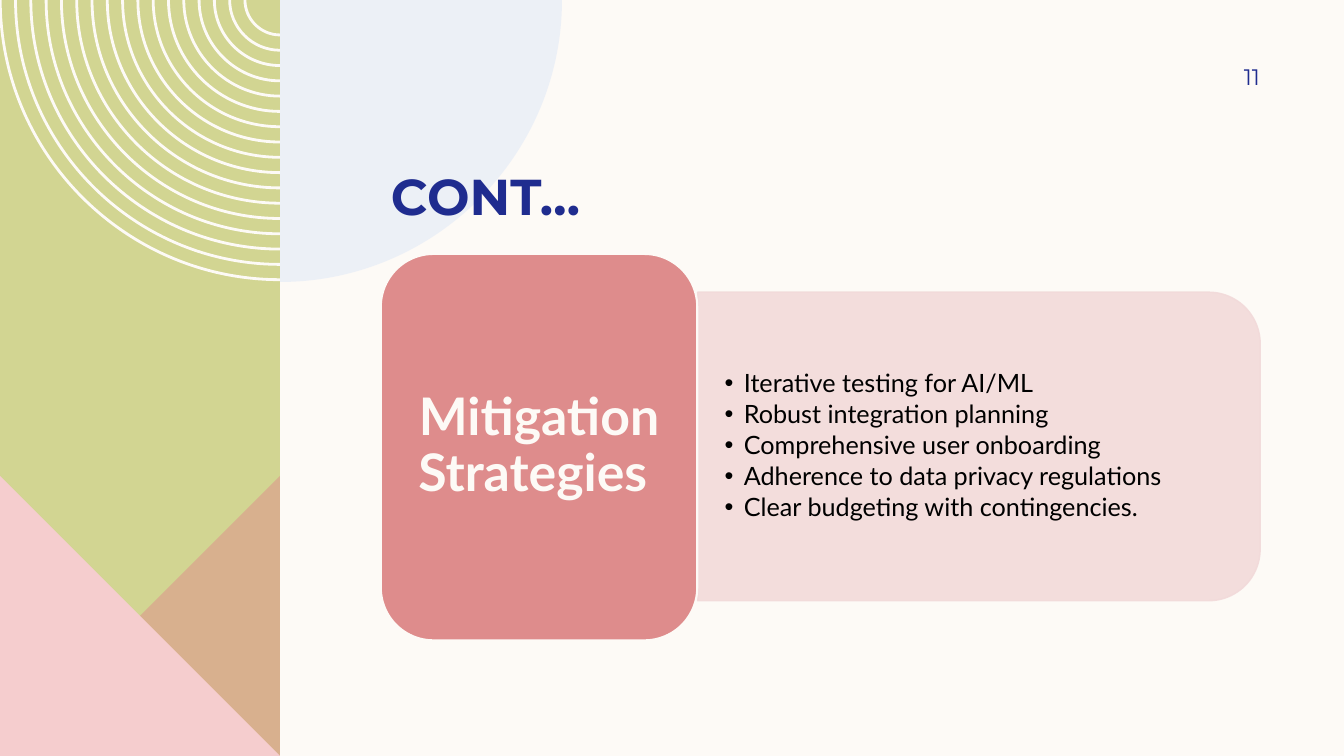
"""Builds the mitigation strategies slide."""
from lxml.etree import SubElement
from pptx import Presentation
from pptx.dml.color import RGBColor
from pptx.enum.shapes import MSO_SHAPE as Preset
from pptx.enum.text import MSO_ANCHOR as Anchor, MSO_AUTO_SIZE as AutoSize, PP_ALIGN as Align
from pptx.oxml.ns import qn
from pptx.util import Inches, Pt

COLORS = {
    "cream": "FDFAF6", "olive": "D2D592", "rose": "DE8C8C", "pink": "F5CDCE",
    "sky": "DDE7F6", "navy": "1F2C8F", "blush": "F2DADA", "black": "000000",
}
COLUMNS, ROWS = 48, 27
UNIT = Inches(7.5) / ROWS
BAND = 10
CORNER = (BAND, 0)
CURVE = 0.55
HEADING_FONT, BODY_FONT = "Montserrat", "Lato"
STRATEGIES = [
    "Iterative testing for AI/ML",
    "Robust integration planning",
    "Comprehensive user onboarding",
    "Adherence to data privacy regulations",
    "Clear budgeting with contingencies.",
]


def grid(*cells):
    """Turns grid cells into slide lengths."""
    return [round(cell * UNIT) for cell in cells]


def color(name):
    """Looks up a palette colour."""
    return RGBColor.from_string(COLORS[name])


def paint(shape, fill, opacity=100, line=None, width=1):
    """Sets fill, outline and opacity."""
    shape.shadow.inherit = False
    shape.fill.solid()
    shape.fill.fore_color.rgb = color(fill)
    if line:
        shape.line.color.rgb = color(line)
        shape.line.width = Pt(width)
    else:
        shape.line.fill.background()
    if opacity < 100:
        for shade in shape._element.spPr.iter(qn("a:srgbClr")):
            SubElement(shade, qn("a:alpha"), val=str(opacity * 1000))
    return shape


def add_outline(slide, contours, fill, opacity=100):
    """Draws closed contours given in grid cells as one shape."""
    builder = None
    for contour in contours:
        start, *rest = [grid(*point) for point in contour]
        if builder is None:
            builder = slide.shapes.build_freeform(*start)
        else:
            builder.move_to(*start)
        builder.add_line_segments(rest, close=True)
    return paint(builder.convert_to_shape(), fill, opacity)


def quarter(radius, side):
    """Lists the Bezier points of a quarter circle, from the top edge down."""
    x, y = CORNER
    pull = radius * CURVE
    return [(x + side * radius, y), (x + side * radius, y + pull),
            (x + side * pull, y + radius), (x, y + radius)]


def bend(shape):
    """Turns each three lines of a contour into a curve, keeping every fourth straight."""
    outline = next(shape._element.iter(qn("a:path")))
    position = 0
    for command in list(outline):
        if command.tag == qn("a:moveTo"):
            position = 0
        elif command.tag == qn("a:lnTo"):
            if position % 4 == 0:
                curve = SubElement(outline, qn("a:cubicBezTo"))
                command.addprevious(curve)
            if position % 4 < 3:
                curve.append(command[0])
                outline.remove(command)
            position += 1


def add_rings(slide, count=17, largest=10.04, smallest=1.3, thickness=0.1):
    """Draws evenly spaced quarter rings."""
    step = (largest - smallest) / (count - 1)
    radii = [largest - index * step for index in range(count)]
    rings = [quarter(r, -1) + quarter(r - thickness, -1)[::-1] for r in radii]
    bend(add_outline(slide, rings, "cream"))


def add_preset(slide, preset, cells, fill, **look):
    """Adds a painted preset shape."""
    return paint(slide.shapes.add_shape(preset, *grid(*cells)), fill, **look)


def place(slide, holder, cells):
    """Moves a placeholder and brings it to the front."""
    holder.left, holder.top, holder.width, holder.height = grid(*cells)
    slide.shapes._spTree.append(holder._element)


def set_frame(frame, anchor, margins):
    """Sets wrapping, anchor and insets in inches."""
    frame.word_wrap = True
    frame.auto_size = AutoSize.NONE
    frame.vertical_anchor = anchor
    (frame.margin_left, frame.margin_top,
     frame.margin_right, frame.margin_bottom) = map(Inches, margins)


def style(paragraph, font, size, tint, bold=False, align=Align.LEFT, spacing=0.9, after=0):
    """Formats a paragraph and its runs."""
    paragraph.alignment = align
    paragraph.line_spacing = spacing
    paragraph.space_before = Pt(0)
    paragraph.space_after = Pt(after)
    for run in paragraph.runs:
        run.font.name = font
        run.font.size = Pt(size)
        run.font.bold = bold
        run.font.color.rgb = color(tint)


def add_bullet(paragraph, indent=0.19):
    """Gives a paragraph a hanging bullet."""
    properties = paragraph._p.get_or_add_pPr()
    properties.set("marL", str(Inches(indent)))
    properties.set("indent", str(-Inches(indent)))
    SubElement(properties, qn("a:buFont"), typeface="Arial")
    SubElement(properties, qn("a:buChar"), char="•")


def add_decoration(slide):
    """Draws the coloured band and its geometric motifs."""
    add_preset(slide, Preset.RECTANGLE, (0, 0, BAND, ROWS), "olive")
    add_rings(slide)
    peak = ROWS - BAND
    add_outline(slide, [[(BAND, peak), (BAND, ROWS), (0, ROWS)]], "rose", 50)
    add_outline(slide, [[(0, peak), (BAND, ROWS), (0, ROWS)]], "pink")
    bend(add_outline(slide, [quarter(10.07, 1) + [CORNER]], "sky", 50))


def add_title(slide):
    """Fills the title placeholder."""
    title = slide.shapes.title
    place(slide, title, (13.6, 4.18, 31.36, 3.92))
    title.text_frame.text = "CONT…"
    set_frame(title.text_frame, Anchor.BOTTOM, (0.1, 0, 0.1, 0))
    style(title.text_frame.paragraphs[0], HEADING_FONT, 36, "navy", bold=True)


def add_page_number(slide):
    """Adds the page number at the top right."""
    number = slide.shapes.add_textbox(*grid(40.79, 1.8, 4.21, 1.87)).text_frame
    number.text = "11"
    set_frame(number, Anchor.MIDDLE, (0.1, 0.05, 0, 0.05))
    style(number.paragraphs[0], HEADING_FONT, 16, "navy", align=Align.RIGHT, spacing=1.0)


def add_strategies(slide):
    """Draws the panel with the bullet list."""
    panel = add_preset(slide, Preset.ROUND_2_SAME_RECTANGLE, (29.45, 5.9, 11.02, 20.09),
                       "blush", opacity=90, line="blush")
    panel.rotation = 90
    body = slide.placeholders[1]
    place(slide, body, (24.91, 10.98, 19.55, 9.94))
    body.text_frame.text = "\n".join(STRATEGIES)
    set_frame(body.text_frame, Anchor.MIDDLE, (0.27, 0.14, 0.27, 0.14))
    for strategy in body.text_frame.paragraphs:
        add_bullet(strategy)
        style(strategy, BODY_FONT, 18, "black", after=2.7)


def add_topic(slide):
    """Draws the topic card."""
    card = add_preset(slide, Preset.ROUNDED_RECTANGLE, (13.6, 9.07, 11.3, 13.8),
                      "rose", line="cream", width=1.5)
    card.text_frame.text = "Mitigation Strategies "
    set_frame(card.text_frame, Anchor.MIDDLE, (0.15, 0.08, 0.15, 0.08))
    style(card.text_frame.paragraphs[0], BODY_FONT, 37, "cream", bold=True,
          align=Align.CENTER, after=13)


def main():
    """Builds and saves the slide."""
    deck = Presentation()
    deck.slide_width, deck.slide_height = grid(COLUMNS, ROWS)
    slide = deck.slides.add_slide(deck.slide_layouts[1])
    slide.background.fill.solid()
    slide.background.fill.fore_color.rgb = color("cream")
    add_decoration(slide)
    add_title(slide)
    add_page_number(slide)
    add_strategies(slide)
    add_topic(slide)
    deck.save("out.pptx")


if __name__ == "__main__":
    main()
